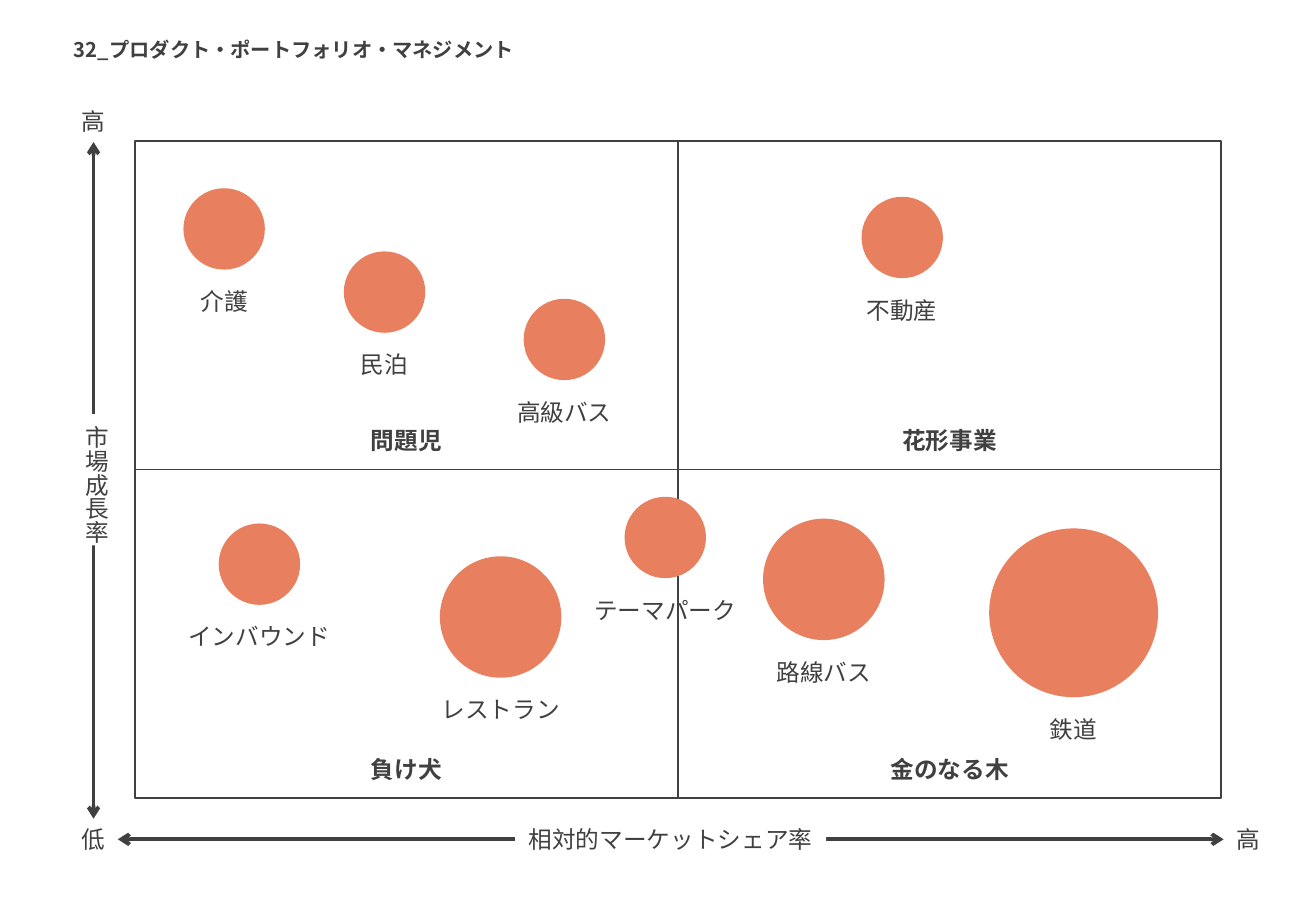
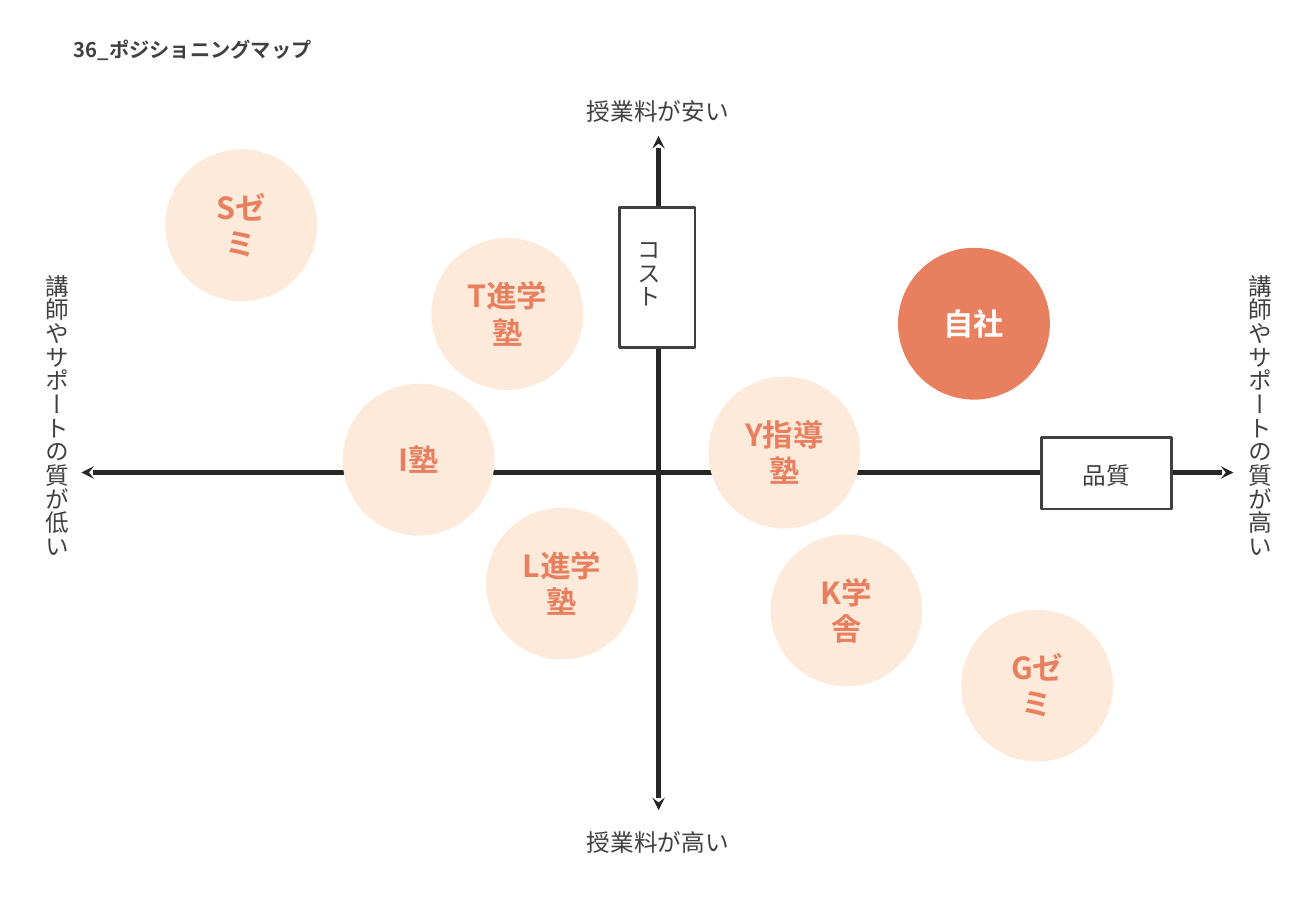
from pptx import Presentation
from pptx.dml.color import RGBColor
from pptx.enum.shapes import MSO_CONNECTOR, MSO_SHAPE
from pptx.enum.text import MSO_ANCHOR, MSO_AUTO_SIZE, PP_ALIGN
from pptx.oxml.ns import qn
from pptx.oxml.xmlchemy import OxmlElement
from pptx.util import Inches, Pt

# Shared style
FONT = "Noto Sans CJK JP"
GREY = RGBColor(0x40, 0x40, 0x40)
BLACK = RGBColor(0x26, 0x26, 0x26)
WHITE = RGBColor(0xFF, 0xFF, 0xFF)
CORAL = RGBColor(0xE8, 0x80, 0x5F)
PEACH = RGBColor(0xFD, 0xEA, 0xDA)

TOP, LEFT, BOTTOM, RIGHT = range(4)
LABEL_HEIGHT = 0.34

# Portfolio: name, circle left, top, diameter
BUSINESSES = [
    ("不動産", 7.09, 1.62, 0.67),
    ("介護", 1.51, 1.55, 0.67),
    ("民泊", 2.83, 2.07, 0.67),
    ("高級バス", 4.31, 2.46, 0.67),
    ("鉄道", 8.14, 4.35, 1.39),
    ("レストラン", 3.62, 4.58, 1),
    ("テーマパーク", 5.14, 4.09, 0.67),
    ("路線バス", 6.28, 4.27, 1),
    ("インバウンド", 1.8, 4.31, 0.67),
]
QUADRANTS = [["問題児", "花形事業"], ["負け犬", "金のなる木"]]

# Positioning: name, circle left, top
SCHOOL_DIAMETER = 1.25
COMPETITORS = [
    ("L進学塾", 4, 4.18),
    ("I塾", 2.82, 3.16),
    ("T進学塾", 3.55, 1.96),
    ("Sゼミ", 1.36, 1.23),
    ("Y指導塾", 5.83, 3.1),
    ("K学舎", 6.34, 4.4),
    ("Gゼミ", 7.91, 5.02),
]
# Axis captions: text, box, anchor, vertical
CAPTIONS = [
    ("品質", (8.58, 3.7, 1.05, 0.38), MSO_ANCHOR.BOTTOM, False),
    ("コスト", (5.17, 1.86, 0.48, 0.83), MSO_ANCHOR.BOTTOM, True),
    ("授業料が安い", (3.75, 0.71, 3.33, 0.37), MSO_ANCHOR.BOTTOM, False),
    ("授業料が高い", (3.75, 6.72, 3.33, 0.38), MSO_ANCHOR.TOP, False),
    ("講師やサポートの質が高い", (10.2, 2.16, 0.48, 3.46), MSO_ANCHOR.BOTTOM, True),
    ("講師やサポートの質が低い", (0.2, 2.16, 0.48, 3.46), MSO_ANCHOR.TOP, True),
]


def write_text(shape, text, size=14, color=GREY, bold=False, wrap=False,
               align=PP_ALIGN.CENTER, anchor=MSO_ANCHOR.MIDDLE,
               vertical=False, spacing=None):
    frame = shape.text_frame
    frame.word_wrap = wrap
    frame.vertical_anchor = anchor
    if vertical:
        shape.element.find(".//" + qn("a:bodyPr")).set("vert", "eaVert")
    paragraph = frame.paragraphs[0]
    paragraph.alignment = align
    paragraph.line_spacing = spacing
    run = paragraph.add_run()
    run.text = text
    font = run.font
    font.name, font.size, font.bold = FONT, Pt(size), bold
    font.color.rgb = color
    east_asian = OxmlElement("a:ea")
    east_asian.set("typeface", FONT)
    shape.element.find(".//" + qn("a:latin")).addnext(east_asian)


def add_text(slide, text, box, **style):
    shape = slide.shapes.add_textbox(*map(Inches, box))
    write_text(shape, text, **style)
    shape.text_frame.auto_size = MSO_AUTO_SIZE.SHAPE_TO_FIT_TEXT
    return shape


def add_centered_text(slide, text, center, top, width, height=LABEL_HEIGHT, **style):
    return add_text(slide, text, (center - width / 2, top, width, height), **style)


def add_shape(slide, kind, box, fill=None, line=None):
    shape = slide.shapes.add_shape(kind, *map(Inches, box))
    shape.shadow.inherit = False
    if fill is None:
        shape.fill.background()
    else:
        shape.fill.solid()
        shape.fill.fore_color.rgb = fill
    if line is None:
        shape.line.fill.background()
    else:
        shape.line.color.rgb = line
        shape.line.width = Pt(1.5)
    return shape


def add_axis_label(slide, text, box, vertical=False):
    shape = add_shape(slide, MSO_SHAPE.RECTANGLE, box, WHITE)
    write_text(shape, text, vertical=vertical)
    return shape


def add_line(slide, start, end, color, width, arrow=None):
    connector = slide.shapes.add_connector(
        MSO_CONNECTOR.STRAIGHT, *map(Inches, start + end))
    connector.line.color.rgb = color
    connector.line.width = Pt(width)
    if arrow:
        outline = connector.get_or_add_ln()
        for tag in ("a:headEnd", "a:tailEnd"):
            tip = OxmlElement(tag)
            tip.set("type", arrow)
            outline.append(tip)
    connector.element.spPr.append(OxmlElement("a:effectLst"))
    return connector


def join_shapes(slide, first, first_side, last, last_side, width, arrow=None):
    connector = add_line(slide, (0, 0), (0, 0), GREY, width, arrow)
    connector.begin_connect(first, first_side)
    connector.end_connect(last, last_side)


def add_slide(presentation, title, title_width):
    slide = presentation.slides.add_slide(presentation.slide_layouts[6])
    add_text(slide, title, (0.51, 0.26, title_width, 0.3), size=12, bold=True,
             align=PP_ALIGN.LEFT, anchor=MSO_ANCHOR.TOP)
    return slide


def build_portfolio(presentation):
    slide = add_slide(presentation, "32_プロダクト・ポートフォリオ・マネジメント", 3.91)

    # Axes with their labels
    low = add_axis_label(slide, "低", (0.57, 6.74, 0.4, LABEL_HEIGHT))
    share_high = add_axis_label(slide, "高", (10.07, 6.74, 0.4, LABEL_HEIGHT))
    growth_high = add_axis_label(slide, "高", (0.57, 0.83, 0.4, LABEL_HEIGHT))
    join_shapes(slide, low, RIGHT, share_high, LEFT, 2.25, "arrow")
    join_shapes(slide, growth_high, BOTTOM, low, TOP, 2.25, "arrow")
    add_axis_label(slide, "相対的マーケットシェア率", (4.24, 6.74, 2.56, LABEL_HEIGHT))
    add_axis_label(slide, "市場成長率", (0.57, 3.41, 0.44, 1.08), vertical=True)

    # Matrix
    left, top, width, height = matrix = (1.11, 1.16, 8.94, 5.41)
    for row, names in enumerate(QUADRANTS):
        for column, name in enumerate(names):
            center = left + width * (2 * column + 1) / 4
            bottom = top + height * (row + 1) / 2
            add_centered_text(slide, name, center, bottom - 0.41,
                              0.2 * (len(name) + 1), bold=True)
    frame = add_shape(slide, MSO_SHAPE.ROUNDED_RECTANGLE, matrix, line=GREY)
    frame.adjustments[0] = 0
    join_shapes(slide, frame, TOP, frame, BOTTOM, 1)
    join_shapes(slide, frame, LEFT, frame, RIGHT, 1)

    # Businesses
    for name, x, y, diameter in BUSINESSES:
        add_shape(slide, MSO_SHAPE.OVAL, (x, y, diameter, diameter), CORAL)
        add_centered_text(slide, name, x + diameter / 2, y + diameter + 0.09,
                          0.2 * (len(name) + 1))


def add_school(slide, name, left, top, fill, color, label_width, wrap):
    add_shape(slide, MSO_SHAPE.OVAL,
              (left, top, SCHOOL_DIAMETER, SCHOOL_DIAMETER), fill)
    radius = SCHOOL_DIAMETER / 2
    add_centered_text(slide, name, left + radius, top + radius - 0.2, label_width, 0.4,
                      size=18, color=color, bold=True, wrap=wrap)


def build_positioning(presentation):
    slide = add_slide(presentation, "36_ポジショニングマップ", 2.23)

    # Axes
    add_line(slide, (5.42, 1.12), (5.42, 6.67), BLACK, 2.5, "stealth")
    add_line(slide, (0.67, 3.89), (10.15, 3.89), BLACK, 2.5, "stealth")
    for box in ((8.57, 3.6, 1.07, 0.59), (5.1, 1.71, 0.62, 1.15)):
        add_shape(slide, MSO_SHAPE.RECTANGLE, box, WHITE, GREY)
    for text, box, anchor, vertical in CAPTIONS:
        add_text(slide, text, box, wrap=True, anchor=anchor,
                 vertical=vertical, spacing=1.2)

    # Schools: a competitor's last character goes to a second line
    for name, left, top in COMPETITORS:
        label_width = 0.3 + 0.25 * (len(name) - 1)
        add_school(slide, name, left, top, PEACH, CORAL, label_width, True)
    add_school(slide, "自社", 7.39, 2.04, CORAL, WHITE, 0.71, False)


def main():
    presentation = Presentation()
    presentation.slide_width = Inches(10.83)
    presentation.slide_height = Inches(7.5)
    build_portfolio(presentation)
    build_positioning(presentation)
    presentation.save("out.pptx")


if __name__ == "__main__":
    main()
